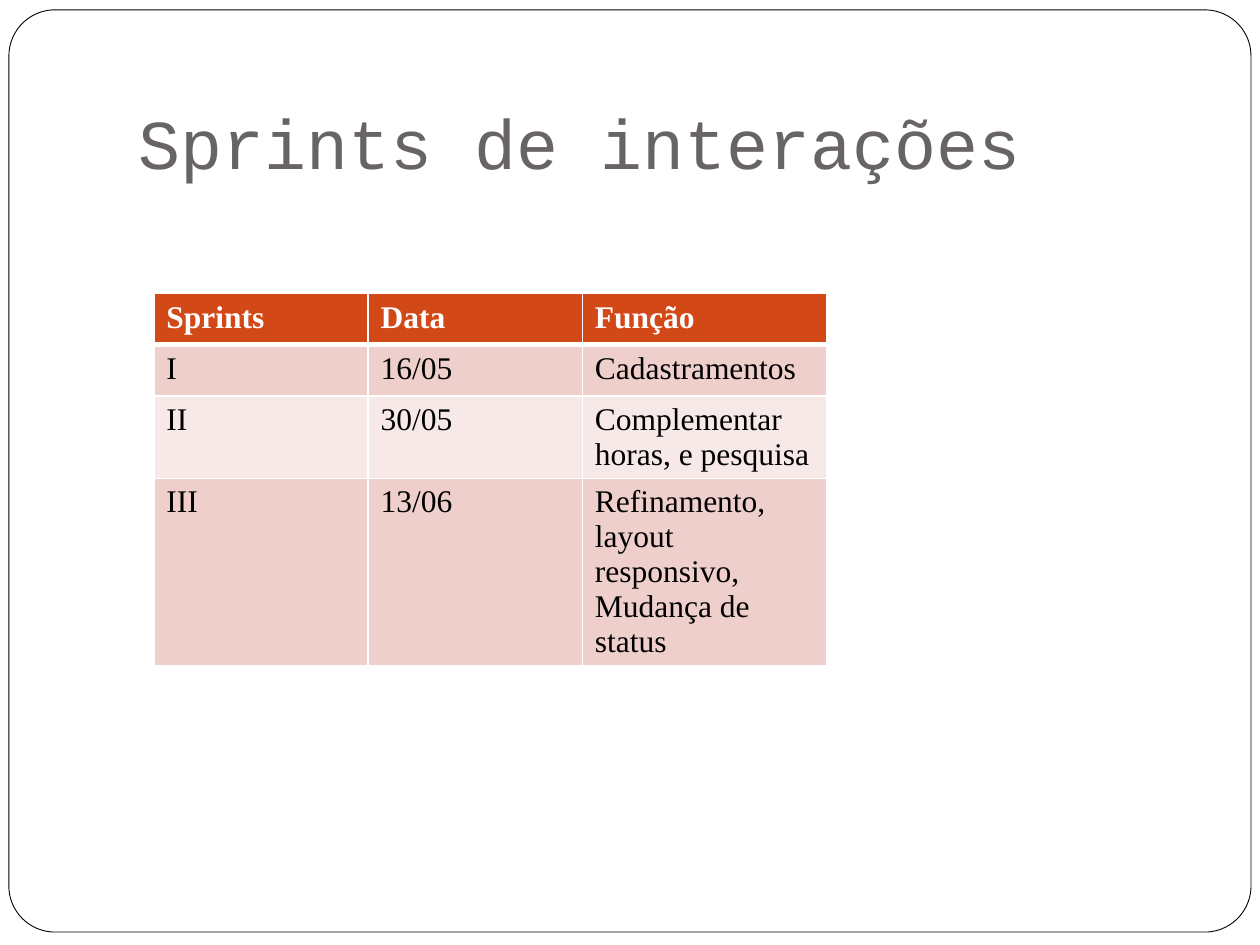
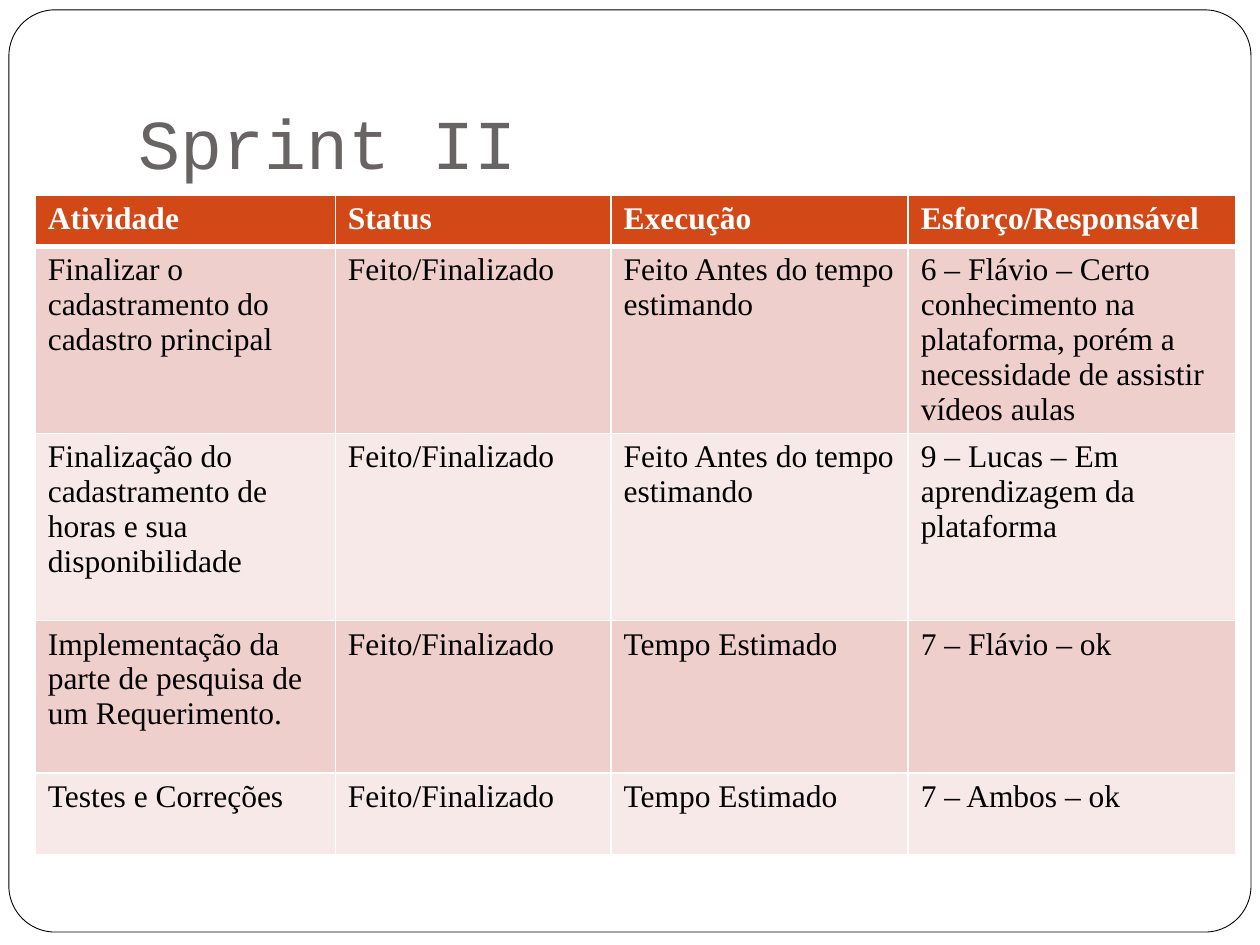
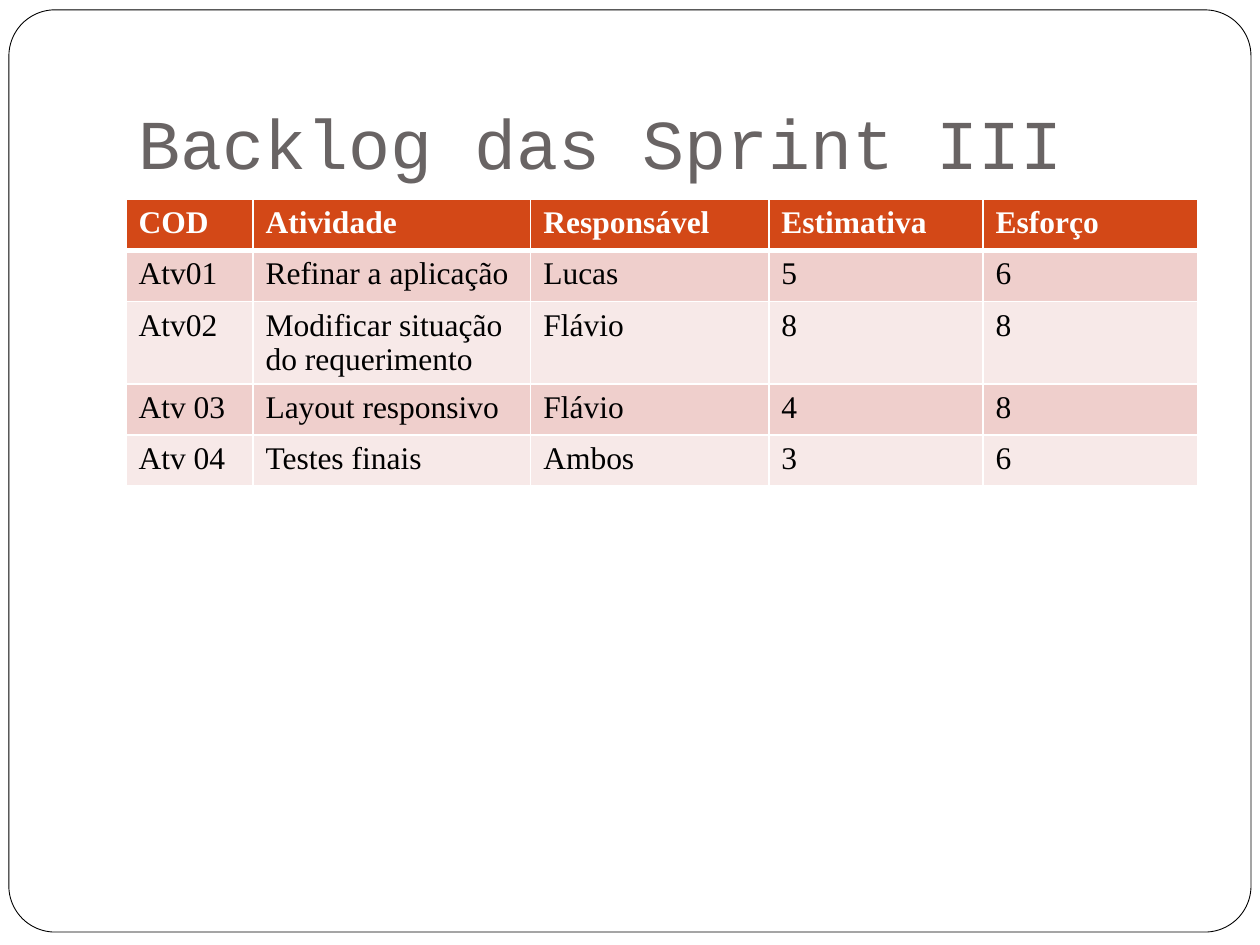
from dataclasses import dataclass

from lxml import etree
from pptx import Presentation
from pptx.dml.color import RGBColor
from pptx.enum.shapes import MSO_SHAPE
from pptx.enum.text import MSO_ANCHOR, PP_ALIGN
from pptx.oxml.ns import qn
from pptx.util import Cm, Pt

ROUNDED_RECTANGLE = MSO_SHAPE.ROUNDED_RECTANGLE
ANCHOR_BOTTOM = MSO_ANCHOR.BOTTOM
ALIGN_LEFT = PP_ALIGN.LEFT

WHITE = RGBColor(0xFF, 0xFF, 0xFF)
BLACK = RGBColor(0x00, 0x00, 0x00)
TITLE_GRAY = RGBColor(0x69, 0x64, 0x64)
HEADER_ORANGE = RGBColor(0xD3, 0x48, 0x17)
BAND_COLORS = (RGBColor(0xEF, 0xCF, 0xCC), RGBColor(0xF7, 0xE9, 0xE8))

TITLE_FONT = "Courier New"
TABLE_FONT = "Times New Roman"
THIN_BORDER = Pt(1)
THICK_BORDER = Pt(3)
TITLE_ONLY_LAYOUT = 5


@dataclass(frozen=True)
class TableSlide:
    """A titled slide with one table, measured in centimetres."""

    title: str
    left: float
    top: float
    column_widths: tuple[float, ...]
    row_heights: tuple[float, ...]
    rows: tuple[tuple[str, ...], ...]


TABLE_SLIDES = (
    TableSlide(
        title="Sprints de interações",
        left=3.1,
        top=5.92,
        column_widths=(4.32, 4.32, 4.93),
        row_heights=(1.03, 1.03, 1.65, 3.77),
        rows=(
            ("Sprints", "Data", "Função"),
            ("I", "16/05", "Cadastramentos"),
            ("II", "30/05", "Complementar horas, e pesquisa"),
            ("III", "13/06", "Refinamento, layout responsivo,\nMudança de status"),
        ),
    ),
    TableSlide(
        title="Sprint II",
        left=0.71,
        top=3.94,
        column_widths=(6.05, 5.56, 5.99, 6.6),
        row_heights=(1.03, 3.77, 3.77, 3.07, 1.65),
        rows=(
            ("Atividade", "Status", "Execução", "Esforço/Responsável"),
            (
                "Finalizar o cadastramento do cadastro principal",
                "Feito/Finalizado",
                "Feito Antes do tempo estimando",
                "6 – Flávio – Certo conhecimento na plataforma, porém a "
                "necessidade de assistir vídeos aulas",
            ),
            (
                "Finalização do cadastramento de horas e sua disponibilidade",
                "Feito/Finalizado",
                "Feito Antes do tempo estimando",
                "9 – Lucas – Em aprendizagem da plataforma",
            ),
            (
                "Implementação da parte de pesquisa de um Requerimento.",
                "Feito/Finalizado",
                "Tempo Estimado",
                "7 – Flávio – ok",
            ),
            ("Testes e Correções", "Feito/Finalizado", "Tempo Estimado", "7 – Ambos – ok"),
        ),
    ),
    TableSlide(
        title="Backlog das Sprint III",
        left=2.54,
        top=4.02,
        column_widths=(2.56, 5.6, 4.8, 4.32, 4.32),
        row_heights=(1.03, 1.03, 1.65, 1.03, 1.03),
        rows=(
            ("COD", "Atividade", "Responsável", "Estimativa", "Esforço"),
            ("Atv01", "Refinar a aplicação", "Lucas", "5", "6"),
            ("Atv02", "Modificar situação do requerimento", "Flávio", "8", "8"),
            ("Atv 03", "Layout responsivo", "Flávio", "4", "8"),
            ("Atv 04", "Testes finais", "Ambos", "3", "6"),
        ),
    ),
)


def write_text(text_frame, text: str, *, font: str, size: float, color: RGBColor,
               bold: bool = False) -> None:
    """Write one left-aligned paragraph for each line of text."""
    text_frame.text = text
    for paragraph in text_frame.paragraphs:
        paragraph.alignment = ALIGN_LEFT
        for run in paragraph.runs:
            run.font.name = font
            run.font.size = Pt(size)
            run.font.bold = bold
            run.font.color.rgb = color


def add_layout_frame(slide) -> None:
    """Draw the rounded frame and place it behind everything on the layout."""
    frame = slide.shapes.add_shape(ROUNDED_RECTANGLE, Cm(0.18), Cm(0.2), Cm(25.04), Cm(18.59))
    frame.adjustments[0] = 0.05
    frame.shadow.inherit = False
    frame.fill.solid()
    frame.fill.fore_color.rgb = WHITE
    frame.line.color.rgb = BLACK
    frame.line.width = Pt(0.5)
    slide.slide_layout.shapes.element.insert(2, frame.element)


def write_title(slide, text: str) -> None:
    """Place and format the title placeholder."""
    title = slide.shapes.title
    title.left, title.top = Cm(2.54), Cm(0.76)
    title.width, title.height = Cm(21.59), Cm(3.18)
    text_frame = title.text_frame
    text_frame.vertical_anchor = ANCHOR_BOTTOM
    text_frame.margin_left = text_frame.margin_right = Cm(0.25)
    text_frame.margin_top, text_frame.margin_bottom = Cm(0.13), Cm(0.25)
    write_text(text_frame, text, font=TITLE_FONT, size=40, color=TITLE_GRAY)


def set_borders(cell, *, top: int, bottom: int) -> None:
    """Give a cell white borders with the given top and bottom widths."""
    properties = cell._tc.get_or_add_tcPr()
    widths = {"a:lnL": THIN_BORDER, "a:lnR": THIN_BORDER, "a:lnT": top, "a:lnB": bottom}
    for index, (tag, width) in enumerate(widths.items()):
        line = etree.Element(qn(tag), w=str(int(width)))
        fill = etree.SubElement(line, qn("a:solidFill"))
        etree.SubElement(fill, qn("a:srgbClr"), val=str(WHITE))
        properties.insert(index, line)


def format_cell(cell, text: str, row_index: int) -> None:
    """Fill, border and write a cell according to its row."""
    is_header = row_index == 0
    cell.fill.solid()
    cell.fill.fore_color.rgb = HEADER_ORANGE if is_header else BAND_COLORS[(row_index - 1) % 2]
    set_borders(
        cell,
        top=THICK_BORDER if row_index == 1 else THIN_BORDER,
        bottom=THICK_BORDER if is_header else THIN_BORDER,
    )
    write_text(cell.text_frame, text, font=TABLE_FONT, size=18,
               color=WHITE if is_header else BLACK, bold=is_header)


def add_sprint_table(slide, content: TableSlide) -> None:
    """Add the table of a slide."""
    table = slide.shapes.add_table(
        len(content.rows), len(content.column_widths),
        Cm(content.left), Cm(content.top),
        Cm(sum(content.column_widths)), Cm(sum(content.row_heights)),
    ).table
    for column, width in zip(table.columns, content.column_widths):
        column.width = Cm(width)
    for row_index, (row, height) in enumerate(zip(table.rows, content.row_heights)):
        row.height = Cm(height)
        for cell, text in zip(row.cells, content.rows[row_index]):
            format_cell(cell, text, row_index)


def main() -> None:
    """Build and save the presentation."""
    presentation = Presentation()
    presentation.slide_width, presentation.slide_height = Cm(25.4), Cm(19.05)
    layout = presentation.slide_layouts[TITLE_ONLY_LAYOUT]
    for index, content in enumerate(TABLE_SLIDES):
        slide = presentation.slides.add_slide(layout)
        if index == 0:
            add_layout_frame(slide)
        write_title(slide, content.title)
        add_sprint_table(slide, content)
    presentation.save("out.pptx")


if __name__ == "__main__":
    main()
